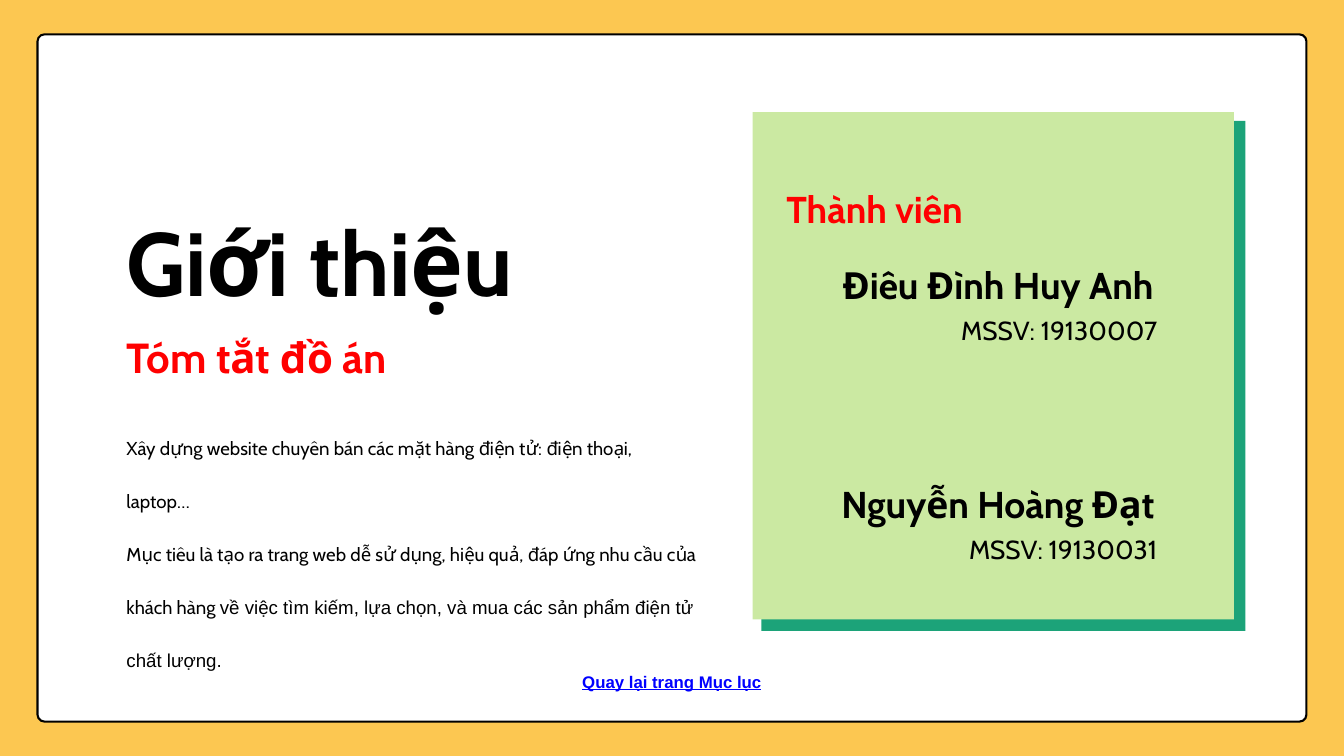
from dataclasses import dataclass

from pptx import Presentation
from pptx.dml.color import RGBColor
from pptx.enum.shapes import MSO_SHAPE
from pptx.enum.text import MSO_AUTO_SIZE, PP_ALIGN
from pptx.util import Cm, Pt

RECTANGLE = MSO_SHAPE.RECTANGLE
ROUNDED = MSO_SHAPE.ROUNDED_RECTANGLE
GROW = MSO_AUTO_SIZE.SHAPE_TO_FIT_TEXT
LEFT, CENTER, RIGHT = PP_ALIGN.LEFT, PP_ALIGN.CENTER, PP_ALIGN.RIGHT


@dataclass(frozen=True)
class TextStyle:
    size: float
    spacing: float
    color: str = "000000"
    bold: bool = False
    underline: bool = False
    font: str = "Cabin"


@dataclass(frozen=True)
class Theme:
    background: str = "FCC751"
    panel: str = "FFFFFF"
    outline: str = "000000"
    card: str = "CBE9A2"
    card_shadow: str = "1CA379"
    fallback_font: str = "Arial"
    title: TextStyle = TextStyle(96, 134.4, bold=True)
    subtitle: TextStyle = TextStyle(45, 63, "FF0000", bold=True)
    body: TextStyle = TextStyle(20, 56.7)
    heading: TextStyle = TextStyle(40, 70, "FF0000", bold=True)
    name: TextStyle = TextStyle(40, 70, bold=True)
    student_id: TextStyle = TextStyle(28, 39.2)
    link: TextStyle = TextStyle(18, 25.2, "0000FF", bold=True, underline=True, font="Arial")


THEME = Theme()

SUMMARY = [
    "Xây dựng website chuyên bán các mặt hàng điện tử: điện thoại, laptop…",
    "Mục tiêu là tạo ra trang web dễ sử dụng, hiệu quả, đáp ứng nhu cầu của khách hàng ",
]
SUMMARY_END = "về việc tìm kiếm, lựa chọn, và mua các sản phẩm điện tử chất lượng."
MEMBERS = [
    ("Điêu Đình Huy Anh", "MSSV: 19130007"),
    ("Nguyễn Hoàng Đạt", "MSSV: 19130031"),
]


def add_block(slide, kind, left, top, width, height, fill):
    shape = slide.shapes.add_shape(kind, Cm(left), Cm(top), Cm(width), Cm(height))
    shape.shadow.inherit = False
    shape.fill.solid()
    shape.fill.fore_color.rgb = RGBColor.from_string(fill)
    shape.line.fill.background()
    return shape


def add_text(slide, left, top, width, height, text, style, alignment=LEFT):
    shape = slide.shapes.add_textbox(Cm(left), Cm(top), Cm(width), Cm(height))
    frame = shape.text_frame
    frame.margin_left = frame.margin_top = frame.margin_right = frame.margin_bottom = 0
    frame.word_wrap = True
    frame.auto_size = GROW
    paragraph = frame.paragraphs[0]
    paragraph.text = text
    paragraph.alignment = alignment
    paragraph.line_spacing = Pt(style.spacing)
    font = paragraph.font
    font.name = style.font
    font.size = Pt(style.size)
    font.bold = style.bold
    font.underline = style.underline
    font.color.rgb = RGBColor.from_string(style.color)
    return paragraph


def add_panel(slide, left, top, width, height):
    panel = add_block(slide, ROUNDED, left, top, width, height, THEME.panel)
    panel.adjustments[0] = 0.01
    panel.line.color.rgb = RGBColor.from_string(THEME.outline)
    panel.line.width = Pt(2.25)


def add_introduction(slide, left, top, width):
    add_text(slide, left, top, width, 4.45, "Giới thiệu", THEME.title)
    add_text(slide, left, top + 5.08, width, 2.06, "Tóm tắt đồ án", THEME.subtitle)
    summary = add_text(slide, left, top + 8.23, width, 7.8, SUMMARY[0], THEME.body)
    summary.add_line_break()
    summary.add_run().text = SUMMARY[1]
    ending = summary.add_run()
    ending.text = SUMMARY_END
    ending.font.name = THEME.fallback_font


def add_member(slide, left, top, width, name, student_id):
    add_text(slide, left, top, width, 2.21, name, THEME.name, CENTER)
    add_text(slide, left, top + 2.57, width, 1.27, student_id, THEME.student_id, RIGHT)


def add_member_card(slide, left, top, width, height):
    offset, border = 0.33, 0.1
    add_block(slide, RECTANGLE, left + offset, top + offset,
              width + border, height + border, THEME.card_shadow)
    add_block(slide, RECTANGLE, left, top, width, height, THEME.card)
    add_text(slide, left + 1.27, top + 2.01, 11.38, 2.21, "Thành viên", THEME.heading)
    for index, (name, student_id) in enumerate(MEMBERS):
        add_member(slide, left + 3.25, top + 4.88 + 8.28 * index, 12.04, name, student_id)


def main():
    presentation = Presentation()
    presentation.slide_width = Cm(50.8)
    presentation.slide_height = Cm(28.58)
    slide = presentation.slides.add_slide(presentation.slide_layouts[6])
    slide.background.fill.solid()
    slide.background.fill.fore_color.rgb = RGBColor.from_string(THEME.background)

    add_panel(slide, 1.42, 1.3, 47.96, 25.98)
    add_introduction(slide, 4.78, 7.14, 21.62)
    add_member_card(slide, 28.45, 4.24, 18.19, 19.18)
    add_text(slide, 21.51, 25.25, 7.77, 0.91, "Quay lại trang Mục lục", THEME.link, CENTER)
    presentation.save("out.pptx")


if __name__ == "__main__":
    main()
